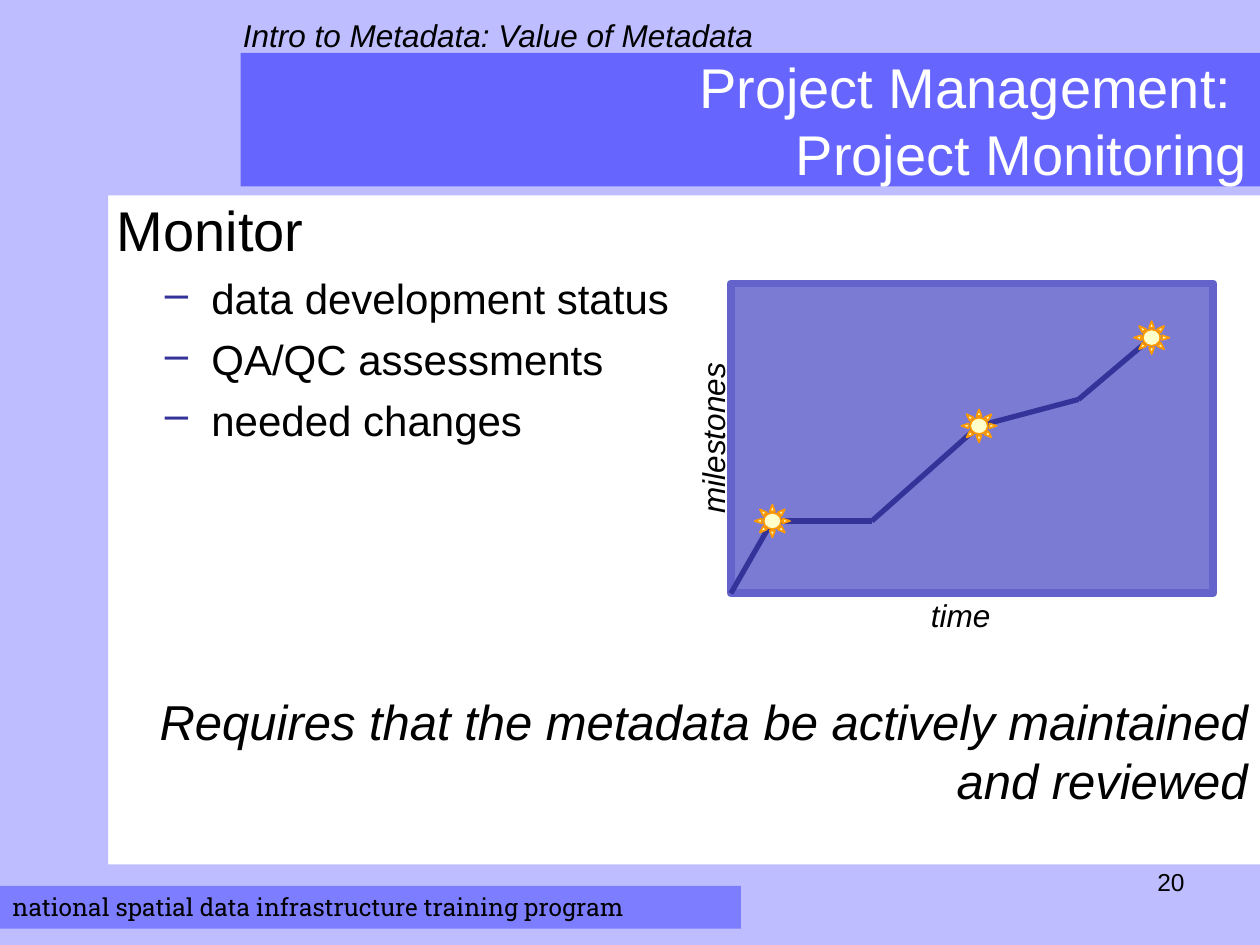
from itertools import pairwise

from lxml.etree import SubElement
from pptx import Presentation
from pptx.dml.color import RGBColor
from pptx.enum.shapes import MSO_CONNECTOR, MSO_SHAPE
from pptx.enum.text import MSO_ANCHOR, PP_ALIGN
from pptx.oxml.ns import qn
from pptx.util import Inches, Pt

WIDTH, HEIGHT = Inches(10), Inches(7.5)

BLACK = RGBColor(0x00, 0x00, 0x00)
WHITE = RGBColor(0xFF, 0xFF, 0xFF)
LAVENDER = RGBColor(0xBD, 0xBD, 0xFF)
FOOTER_BLUE = RGBColor(0x7D, 0x7D, 0xFF)
TITLE_BLUE = RGBColor(0x66, 0x66, 0xFF)
PLOT_FILL = RGBColor(0x7B, 0x7B, 0xD3)
PLOT_BORDER = RGBColor(0x63, 0x63, 0xCB)
NAVY = RGBColor(0x33, 0x33, 0x99)
CREAM = RGBColor(0xFF, 0xFF, 0xCC)
ORANGE = RGBColor(0xFF, 0x99, 0x00)

# Points as percentages of the slide's width and height.
PROGRESS = [(58, 62.8), (61.3, 55.13), (69.2, 55.13),
            (77.7, 45.07), (85.6, 42.27), (91.4, 35.73)]
MILESTONES = [PROGRESS[1], PROGRESS[3], PROGRESS[5]]
SUN_WIDTH, SUN_HEIGHT = 2.8, 3.47


def across(percent):
    return round(WIDTH * percent / 100)


def down(percent):
    return round(HEIGHT * percent / 100)


def area(left, top, width, height):
    """Turn percentages of the slide into a position and size."""
    return across(left), down(top), across(width), down(height)


def add_block(page, place, fill, kind=MSO_SHAPE.RECTANGLE, line=None, weight=1):
    block = page.shapes.add_shape(kind, *area(*place))
    block.shadow.inherit = False
    block.fill.solid()
    block.fill.fore_color.rgb = fill
    if line is None:
        block.line.fill.background()
    else:
        block.line.color.rgb = line
        block.line.width = Pt(weight)
    return block


def add_box(page, place, rotation=0):
    box = page.shapes.add_textbox(*area(*place))
    box.rotation = rotation
    return box


def write(box, text, size=18, color=BLACK, font="Arial", italic=False,
          align=PP_ALIGN.LEFT, anchor=MSO_ANCHOR.TOP, before=0, bullet=None):
    """Fill the box's first paragraph, or add one if it already holds text."""
    frame = box.text_frame
    frame.word_wrap = True
    frame.vertical_anchor = anchor
    para = frame.add_paragraph() if frame.text else frame.paragraphs[0]
    para.text = text
    para.alignment = align
    if before:
        para.space_before = Pt(before)
    if bullet:
        add_bullet(para, bullet)
    para.font.size = Pt(size)
    para.font.name = font
    para.font.italic = italic
    para.font.color.rgb = color


def add_bullet(para, character):
    properties = para._p.get_or_add_pPr()
    properties.set("marL", str(Inches(0.75)))
    properties.set("indent", str(-Inches(0.37)))
    tint = SubElement(properties, qn("a:buClr"))
    SubElement(tint, qn("a:srgbClr")).set("val", str(NAVY))
    SubElement(properties, qn("a:buChar")).set("char", character)


def add_segment(page, start, end):
    segment = page.shapes.add_connector(
        MSO_CONNECTOR.STRAIGHT, across(start[0]), down(start[1]),
        across(end[0]), down(end[1]))
    segment.line.color.rgb = NAVY
    segment.line.width = Pt(3)
    SubElement(segment._element.spPr, qn("a:effectLst"))


def add_frame(page):
    """Draw the coloured margins, running header, footer and page number."""
    for place in [(0, 0, 100, 20.67), (0, 16.27, 8.6, 80), (0, 91.47, 100, 8.53)]:
        add_block(page, place, LAVENDER)
    footer = add_block(page, (0, 93.73, 58.8, 4.53), FOOTER_BLUE)
    write(footer, "national spatial data infrastructure training program",
          size=14, font="Roboto Slab")
    header = add_box(page, (18.3, 1.07, 80.8, 5.33))
    write(header, "Intro to Metadata: Value of Metadata", italic=True)
    number = add_box(page, (71.7, 91.07, 23.3, 6.93))
    write(number, "20", size=14, align=PP_ALIGN.RIGHT)


def add_title(page):
    title = add_block(page, (19.1, 5.6, 80.9, 14.13), TITLE_BLUE)
    write(title, "Project Management: \vProject Monitoring", size=32, color=WHITE,
          align=PP_ALIGN.RIGHT, anchor=MSO_ANCHOR.MIDDLE)


def add_body(page):
    body = add_box(page, (8.3, 20, 91.7, 71.07))
    write(body, "Monitor", size=32)
    for item in ["data development status", "QA/QC assessments", "needed changes"]:
        write(body, item, size=24, before=6, bullet="–")
    write(body, "Requires that the metadata be actively maintained and reviewed",
          size=28, italic=True, align=PP_ALIGN.RIGHT, before=141)


def add_milestone_plot(page):
    add_block(page, (58, 30, 38.3, 32.8), PLOT_FILL, line=PLOT_BORDER, weight=4.5)
    for start, end in pairwise(PROGRESS):
        add_segment(page, start, end)
    write(add_box(page, (72.9, 62.4, 16.4, 5.33)), "time", italic=True)
    write(add_box(page, (48, 41.6, 17.1, 5.33), rotation=270), "milestones", italic=True)
    for x, y in MILESTONES:
        place = (x - SUN_WIDTH / 2, y - SUN_HEIGHT / 2, SUN_WIDTH, SUN_HEIGHT)
        add_block(page, place, CREAM, kind=MSO_SHAPE.SUN, line=ORANGE)


def main():
    deck = Presentation()
    deck.slide_width, deck.slide_height = WIDTH, HEIGHT
    page = deck.slides.add_slide(deck.slide_layouts[6])
    page.background.fill.solid()
    page.background.fill.fore_color.rgb = WHITE
    add_frame(page)
    add_title(page)
    add_body(page)
    add_milestone_plot(page)
    deck.save("out.pptx")


if __name__ == "__main__":
    main()
